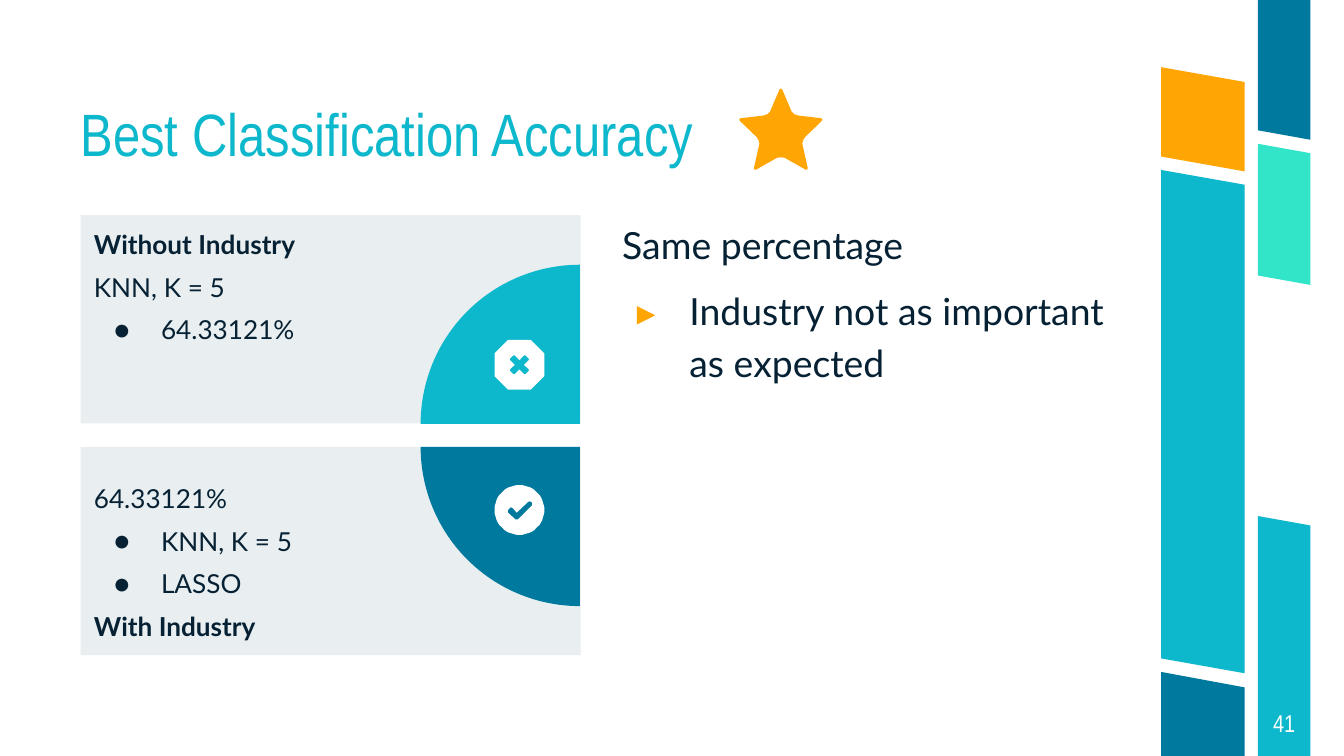
"""Build the slide that compares the best classification accuracy with and without industry."""
from math import cos, pi, sin

from lxml.etree import SubElement
from pptx import Presentation
from pptx.dml.color import RGBColor
from pptx.enum.shapes import MSO_SHAPE
from pptx.enum.text import MSO_ANCHOR, PP_ALIGN
from pptx.oxml.ns import qn
from pptx.util import Pt

PX = 4572
WIDTH, HEIGHT = 2000, 1125

WHITE = RGBColor(0xFF, 0xFF, 0xFF)
CYAN = RGBColor(0x0D, 0xB8, 0xCC)
BLUE = RGBColor(0x00, 0x79, 0x9E)
MINT = RGBColor(0x32, 0xE4, 0xC8)
ORANGE = RGBColor(0xFF, 0xA6, 0x04)
PANEL = RGBColor(0xE9, 0xEE, 0xF0)
INK = RGBColor(0x06, 0x21, 0x33)

NARROW_STRIPE = (1872, 1950)
WIDE_STRIPE = (1728, 1852)
BANDS = [
    (NARROW_STRIPE, (768, 782, HEIGHT, HEIGHT), CYAN),
    (NARROW_STRIPE, (214, 228, 424, 410), MINT),
    (NARROW_STRIPE, (0, 0, 208, 194), BLUE),
    (WIDE_STRIPE, (100, 122, 255, 233), ORANGE),
    (WIDE_STRIPE, (1000, 1023, HEIGHT, HEIGHT), BLUE),
    (WIDE_STRIPE, (253, 275, 1002, 980), CYAN),
]
PANEL_LEFT, PANEL_WIDTH, PANEL_HEIGHT = 120, 744, 310
TOP_PANEL, BOTTOM_PANEL = 320, 665
PIE_LEFT, PIE_SIZE = 626, 474
ICON_X, ICON_RADIUS = 773, 37
CROSS_ICON_Y, CHECK_ICON_Y = 543, 759
STAR_X = 1162
STAR_HALF = [
    (0, 132), (2, 133), (16, 166), (20, 170), (26, 172), (60, 176), (62, 178),
    (60, 181), (36, 204), (33, 209), (32, 214), (40, 250), (39, 253), (36, 252),
    (6, 235), (0, 234),
]
CHECK_MARK = [
    (15, -13), (19, -11), (19, -7), (-2, 14), (-6, 14), (-17, 4), (-17, 0),
    (-13, -4), (-10, -3), (-4, 4), (13, -12),
]


def offset(points, x, y):
    return [(x + dx, y + dy) for dx, dy in points]


def quarter_turns(points):
    turned = []
    for _ in range(4):
        turned += points
        points = [(-y, x) for x, y in points]
    return turned


def write(frame, text, size=14, color=INK, font="Lato", bold=False, line_spacing=None,
          space_before=0, align=PP_ALIGN.LEFT, bullet=None, bullet_color=INK, hanging=70):
    first = frame.paragraphs[0]
    paragraph = frame.add_paragraph() if first.runs else first
    if bullet:
        properties = paragraph._p.get_or_add_pPr()
        properties.set("marL", str(100 * PX))
        properties.set("indent", str(-hanging * PX))
        fill = SubElement(SubElement(properties, qn("a:buClr")), qn("a:srgbClr"))
        fill.set("val", str(bullet_color))
        SubElement(properties, qn("a:buFont")).set("typeface", font)
        SubElement(properties, qn("a:buChar")).set("char", bullet)
    paragraph.alignment = align
    if line_spacing:
        paragraph.line_spacing = line_spacing
    if space_before:
        paragraph.space_before = Pt(space_before)
    run = paragraph.add_run()
    run.text = text
    run.font.name = font
    run.font.size = Pt(size)
    run.font.bold = bold
    run.font.color.rgb = color


class SlideBuilder:
    heading_font = "Arial Narrow"

    def __init__(self, slide):
        self.shapes = slide.shapes

    def paint(self, shape, color):
        shape.shadow.inherit = False
        shape.fill.solid()
        shape.fill.fore_color.rgb = color
        shape.line.fill.background()
        return shape

    def frame(self, shape, anchor, margins=(0, 0, 0, 0)):
        frame = shape.text_frame
        frame.word_wrap = True
        frame.vertical_anchor = anchor
        (frame.margin_left, frame.margin_top,
         frame.margin_right, frame.margin_bottom) = [margin * PX for margin in margins]
        return frame

    def preset(self, kind, left, top, width, height, color):
        shape = self.shapes.add_shape(kind, left * PX, top * PX, width * PX, height * PX)
        return self.paint(shape, color)

    def outline(self, color, *contours):
        builder = self.shapes.build_freeform(*contours[0][0], scale=PX)
        for index, contour in enumerate(contours):
            if index:
                builder.move_to(*contour[0])
            builder.add_line_segments(contour[1:], close=True)
        return self.paint(builder.convert_to_shape(), color)

    def band(self, stripe, heights, color):
        left, right = stripe
        self.outline(color, list(zip((left, right, right, left), heights)))

    def text_box(self, left, top, width, height, anchor=MSO_ANCHOR.TOP):
        box = self.shapes.add_textbox(left * PX, top * PX, width * PX, height * PX)
        return self.frame(box, anchor)

    def panel(self, top, anchor, lines):
        shape = self.preset(MSO_SHAPE.RECTANGLE, PANEL_LEFT, top, PANEL_WIDTH, PANEL_HEIGHT, PANEL)
        frame = self.frame(shape, anchor, (20, 20, 300, 20))
        for index, (text, style) in enumerate(lines):
            write(frame, text, space_before=6 if index else 0, **style)

    def quarter_pie(self, top, color, rotation=0):
        pie = self.preset(MSO_SHAPE.PIE, PIE_LEFT, top, PIE_SIZE, PIE_SIZE, color)
        pie.adjustments[0] = 108
        pie.adjustments[1] = 162
        pie.rotation = rotation

    def icon(self, y, edge, symbol):
        self.outline(WHITE, offset(edge, ICON_X, y), offset(symbol, ICON_X, y))


def main():
    presentation = Presentation()
    presentation.slide_width, presentation.slide_height = WIDTH * PX, HEIGHT * PX
    builder = SlideBuilder(presentation.slides.add_slide(presentation.slide_layouts[6]))

    for stripe, heights, color in BANDS:
        builder.band(stripe, heights, color)

    title = builder.text_box(120, 166, 930, 86, MSO_ANCHOR.BOTTOM)
    write(title, "Best Classification Accuracy", size=32, color=CYAN,
          font=builder.heading_font, line_spacing=0.9)
    number = builder.text_box(1872, 1026, 78, 99, MSO_ANCHOR.MIDDLE)
    write(number, "41", size=13, color=WHITE, font=builder.heading_font, align=PP_ALIGN.CENTER)

    strong, dotted = {"bold": True}, {"bullet": "●"}
    builder.panel(TOP_PANEL, MSO_ANCHOR.TOP, [
        ("Without Industry", strong), ("KNN, K = 5", {}), ("64.33121%", dotted)])
    builder.panel(BOTTOM_PANEL, MSO_ANCHOR.BOTTOM, [
        ("64.33121%", {}), ("KNN, K = 5", dotted), ("LASSO", dotted), ("With Industry", strong)])
    builder.quarter_pie(394, CYAN)
    builder.quarter_pie(428, BLUE, rotation=270)

    angles = [step * pi / 30 for step in range(60)]
    circle = [(ICON_RADIUS * cos(angle), ICON_RADIUS * sin(angle)) for angle in angles]
    octagon = quarter_turns([(-17, -ICON_RADIUS), (17, -ICON_RADIUS)])
    cross = quarter_turns([(0, -7), (7, -14), (9, -14), (14, -9), (14, -7)])
    builder.icon(CHECK_ICON_Y, circle, CHECK_MARK)
    builder.icon(CROSS_ICON_Y, octagon, cross)

    body = builder.text_box(926, 320, 732, 278)
    write(body, "Same percentage", size=20, line_spacing=1.15)
    write(body, "Industry not as important as expected", size=20, line_spacing=1.15,
          space_before=8, bullet="▸", bullet_color=ORANGE, hanging=78)

    mirrored = [(-x, y) for x, y in reversed(STAR_HALF[1:-1])]
    builder.outline(ORANGE, offset(STAR_HALF + mirrored, STAR_X, 0))

    presentation.save("out.pptx")


if __name__ == "__main__":
    main()
